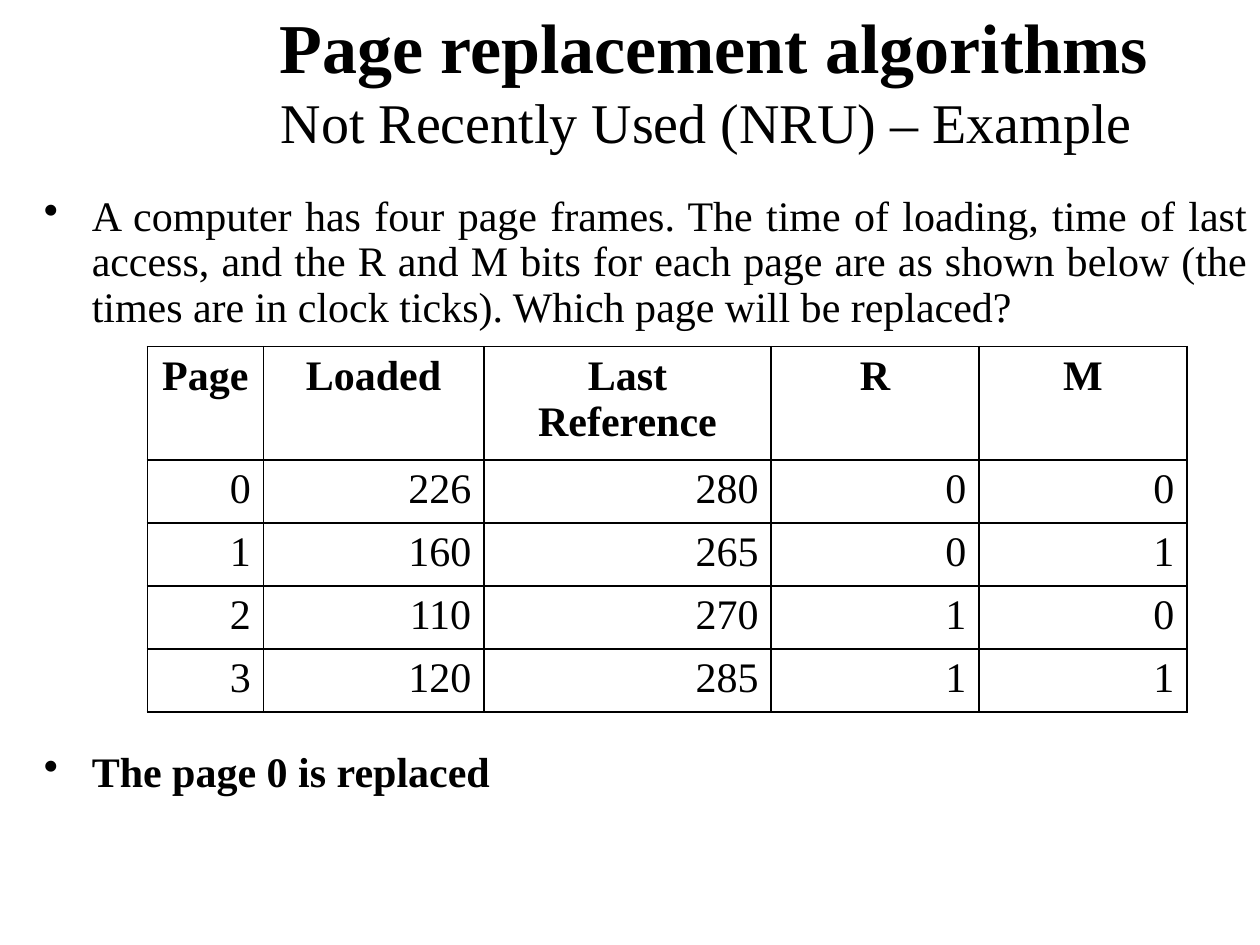
"""Build a slide with a worked example of Not Recently Used page replacement."""
from dataclasses import dataclass

from lxml import etree
from pptx import Presentation, util as u
from pptx.dml.color import RGBColor
from pptx.enum import text
from pptx.oxml import ns

FONT = "Times New Roman"
BLACK, WHITE = "000000", "FFFFFF"
ALIGN = text.PP_ALIGN


@dataclass
class Bullet:
    words: str
    bold: bool = False
    space_before: float = 0


BULLETS = [
    Bullet("A computer has four page frames. The time of loading, time of last access, "
           "and the R and M bits for each page are as shown below (the times are in "
           "clock ticks). Which page will be replaced?"),
    Bullet("The page 0 is replaced ", bold=True, space_before=240),
]
HEADINGS = ["Page", "Loaded", "Last Reference", "R", "M"]
FRAMES = [
    (0, 226, 280, 0, 0),
    (1, 160, 265, 0, 1),
    (2, 110, 270, 1, 0),
    (3, 120, 285, 1, 1),
]
COLUMN_WIDTHS = [0.92, 1.75, 2.28, 1.65, 1.65]
ROW_HEIGHTS = [0.9] + [0.5] * len(FRAMES)


def color(value: str) -> RGBColor:
    return RGBColor.from_string(value)


def add_span(para, words: str, size: float = 24, bold: bool = False) -> None:
    span = para.add_run()
    span.text = words
    span.font.name = FONT
    span.font.size = u.Pt(size)
    span.font.bold = bold
    span.font.color.rgb = color(BLACK)


def add_title(page) -> None:
    title = page.shapes.title
    title.left, title.top = u.Inches(1.33), u.Inches(0)
    title.width, title.height = u.Inches(8.67), u.Inches(1.25)
    frame = title.text_frame
    frame.auto_size = text.MSO_AUTO_SIZE.NONE
    frame.vertical_anchor = text.MSO_ANCHOR.MIDDLE
    para = frame.paragraphs[0]
    para.alignment = ALIGN.CENTER
    add_span(para, "Page replacement algorithms", 40, True)
    para.add_line_break()
    add_span(para, "Not Recently Used (NRU) – Example ", 32)


def add_bullets(page, bullets: list[Bullet]) -> None:
    box = page.shapes.add_textbox(u.Inches(0.25), u.Inches(1.5), u.Inches(9.75), u.Inches(6))
    frame = box.text_frame
    frame.word_wrap = True
    for index, bullet in enumerate(bullets):
        para = frame.add_paragraph() if index else frame.paragraphs[0]
        properties = para._p.get_or_add_pPr()
        properties.set("marL", str(u.Inches(0.38)))
        properties.set("indent", str(-u.Inches(0.38)))
        etree.SubElement(properties, ns.qn("a:buChar"), char="•")
        para.alignment = ALIGN.JUSTIFY
        para.line_spacing = 0.9
        para.space_before = u.Pt(bullet.space_before)
        add_span(para, bullet.words, bold=bullet.bold)


def add_borders(cell) -> None:
    properties = cell._tc.get_or_add_tcPr()
    for index, side in enumerate(("lnL", "lnR", "lnT", "lnB")):
        line = etree.Element(ns.qn(f"a:{side}"), w=str(u.Pt(1)))
        fill = etree.SubElement(line, ns.qn("a:solidFill"))
        etree.SubElement(fill, ns.qn("a:srgbClr"), val=BLACK)
        properties.insert(index, line)


def add_frame_table(page) -> None:
    rows = [HEADINGS, *FRAMES]
    table = page.shapes.add_table(
        len(rows), len(HEADINGS), u.Inches(1.17), u.Inches(2.75),
        u.Inches(sum(COLUMN_WIDTHS)), u.Inches(sum(ROW_HEIGHTS))).table
    for column, width in zip(table.columns, COLUMN_WIDTHS):
        column.width = u.Inches(width)
    for row, height in zip(table.rows, ROW_HEIGHTS):
        row.height = u.Inches(height)
    for row_index, values in enumerate(rows):
        heading = row_index == 0
        for column_index, value in enumerate(values):
            cell = table.cell(row_index, column_index)
            cell.fill.solid()
            cell.fill.fore_color.rgb = color(WHITE)
            add_borders(cell)
            para = cell.text_frame.paragraphs[0]
            para.alignment = ALIGN.CENTER if heading else ALIGN.RIGHT
            add_span(para, str(value), bold=heading)


def main() -> None:
    deck = Presentation()
    deck.slide_width, deck.slide_height = u.Inches(10), u.Inches(7.5)
    page = deck.slides.add_slide(deck.slide_layouts.get_by_name("Title Only"))
    add_title(page)
    add_bullets(page, BULLETS)
    add_frame_table(page)
    deck.save("out.pptx")


if __name__ == "__main__":
    main()
